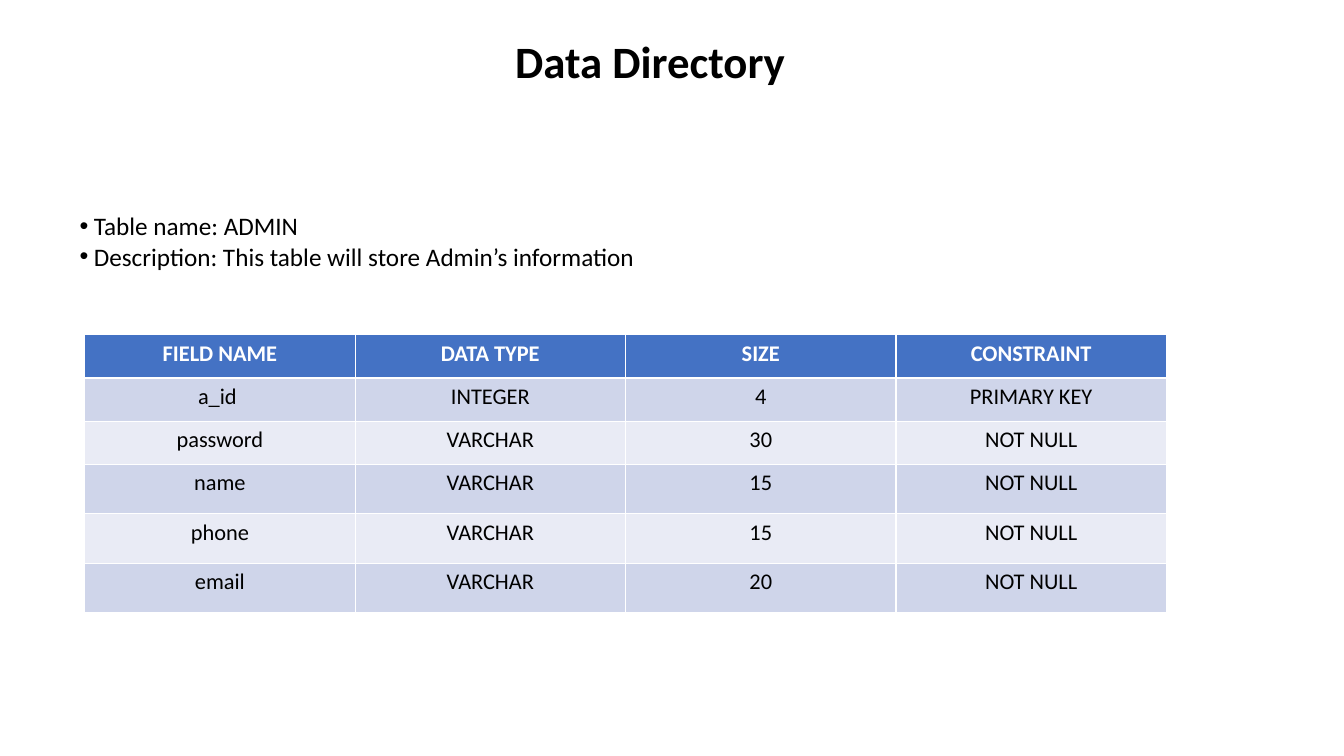
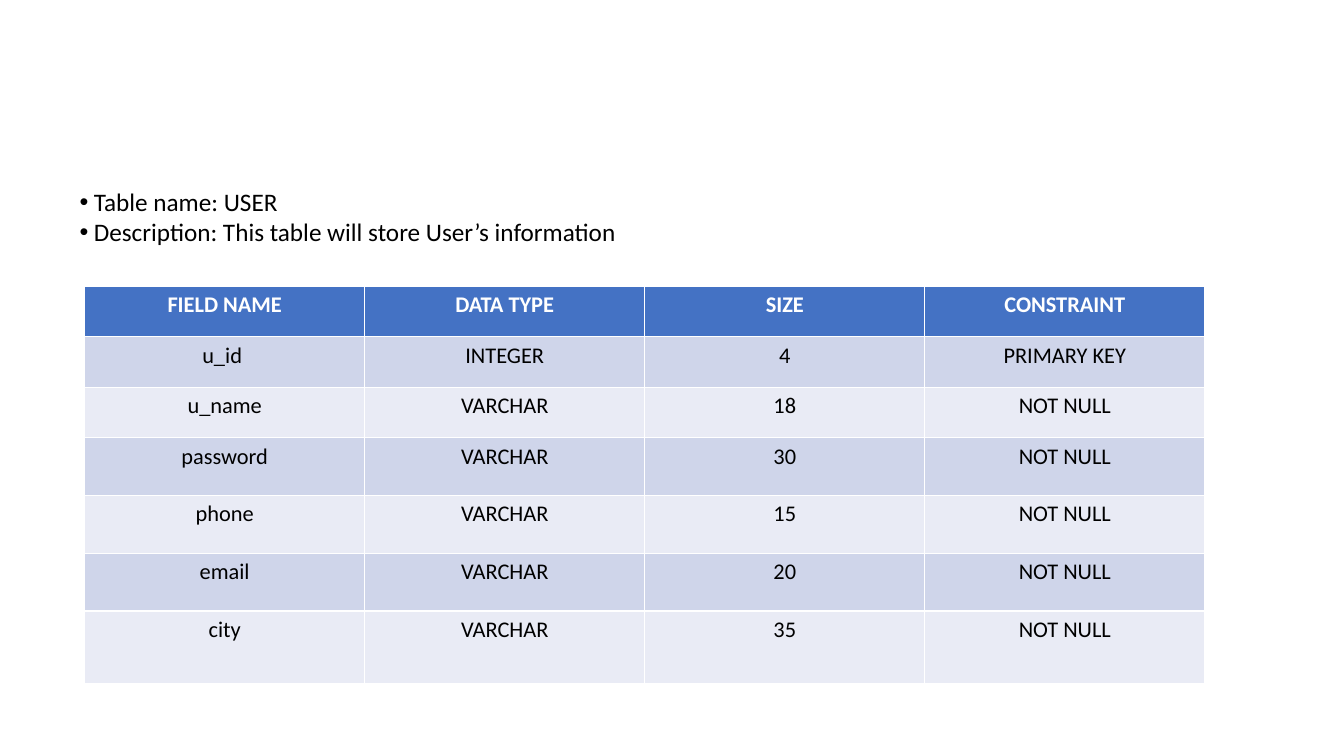
from pptx import Presentation
from pptx.dml.color import RGBColor as Rgb
from pptx.enum.text import MSO_ANCHOR as Anchor, MSO_AUTO_SIZE as Fit, PP_ALIGN as Align
from pptx.util import Inches, Pt

FONT, BLACK, WHITE = "Calibri", "000000", "FFFFFF"
BLUE, BANDS = "4472C4", ("CFD5EA", "E9EBF5")
HEADS = ("FIELD NAME", "DATA TYPE", "SIZE", "CONSTRAINT")
WIDE, HIGH = Inches(13.33), Inches(7.5)


def tint(code):
    return Rgb.from_string(code)


def area(left, top, width, height):
    """Turn percent shares of the slide into lengths."""
    return (int(WIDE * left / 100), int(HIGH * top / 100),
            int(WIDE * width / 100), int(HIGH * height / 100))


def place(shape, box):
    shape.left, shape.top, shape.width, shape.height = box


def write(frame, *lines, size=16, color=BLACK, bold=False,
          align=Align.LEFT, space=1.0, hang=0):
    frame.word_wrap = True
    for n, line in enumerate(lines):
        para = frame.add_paragraph() if n else frame.paragraphs[0]
        para.alignment, para.line_spacing = align, space
        para.space_before = Pt(0)
        if hang:
            props = para._p.get_or_add_pPr()
            props.set("marL", str(Inches(hang)))
            props.set("indent", str(-Inches(hang)))
        run = para.add_run()
        run.text = line
        font = run.font
        font.name, font.size, font.bold = FONT, Pt(size), bold
        font.color.rgb = tint(color)


# Title, or no title at all
def head(slide, text, box):
    title = slide.shapes.title
    if not text:
        title.element.getparent().remove(title.element)
        return
    place(title, box)
    frame = title.text_frame
    frame.auto_size, frame.vertical_anchor = Fit.NONE, Anchor.TOP
    write(frame, text, size=32, bold=True, align=Align.CENTER, space=0.9)


# Bulleted name and description
def intro(slide, name, owner, box):
    body = slide.placeholders[1]
    place(body, box)
    body.text_frame.auto_size = Fit.NONE
    write(body.text_frame, f"Table name: {name}",
          f"Description: This table will store {owner}’s information",
          size=18, hang=0.14)


# Field table; the steps are relative row heights
def grid(slide, fields, steps, box):
    key, *rest = fields
    rows = [HEADS, (key, "INTEGER", "4", "PRIMARY KEY")]
    rows += [(name, "VARCHAR", size, "NOT NULL") for name, size in rest]
    table = slide.shapes.add_table(len(rows), len(HEADS), *box).table
    for col in table.columns:
        col.width = box[2] // len(HEADS)
    for r, (row, step) in enumerate(zip(rows, steps)):
        table.rows[r].height = box[3] * step // sum(steps)
        for c, text in enumerate(row):
            cell = table.cell(r, c)
            cell.fill.solid()
            cell.fill.fore_color.rgb = tint(BANDS[(r - 1) % 2] if r else BLUE)
            write(cell.text_frame, text, color=BLACK if r else WHITE,
                  bold=r == 0, align=Align.CENTER)


def page(deck, title, owner, fields, steps, top, box):
    slide = deck.slides.add_slide(deck.slide_layouts[1])
    head(slide, title, area(14.63, 4.53, 67.5, 12.53))
    grid(slide, fields, steps, area(*box))
    intro(slide, owner.upper(), owner, area(5.18, top, 44.8, 9.47))


def main():
    deck = Presentation()
    deck.slide_width, deck.slide_height = WIDE, HIGH
    page(deck, "Data Directory", "Admin",
         ("a_id ", ("password", "30"), ("name", "15"), ("phone", "15"),
          ("email", "20")),
         (7, 7, 7, 8, 8, 8), 27.2, (6.3, 44.27, 80.5, 36.8))
    page(deck, None, "User",
         ("u_id ", ("u_name", "18"), ("password", "30"), ("phone", "15"),
          ("email", "20"), ("city", "35")),
         (7, 7, 7, 8, 8, 8, 10), 24, (6.3, 37.87, 83.35, 52.53))
    deck.save("out.pptx")


if __name__ == "__main__":
    main()
